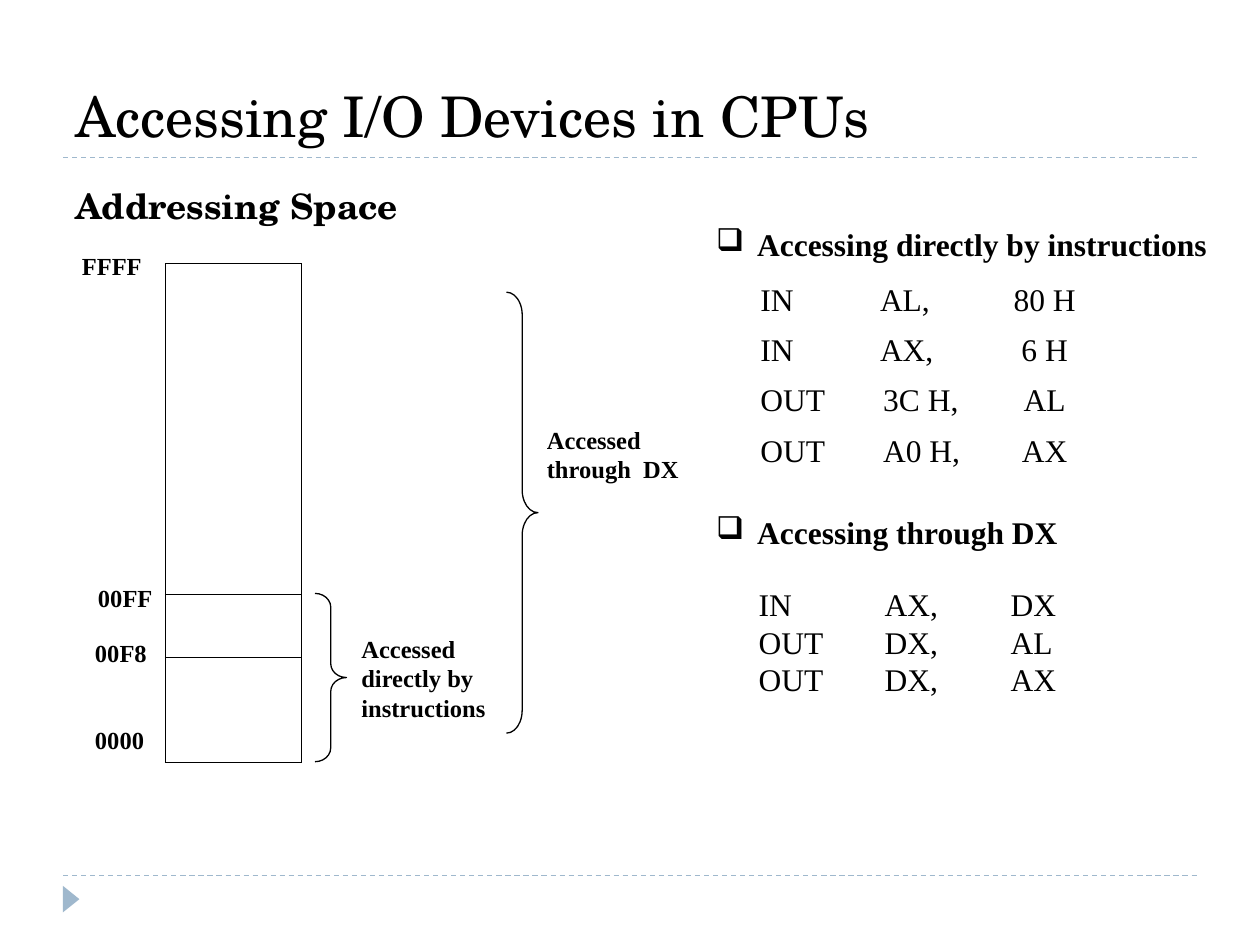
import pptx
import pptx.dml.color
import pptx.enum.dml
import pptx.enum.shapes
import pptx.enum.text
import pptx.oxml
import pptx.oxml.ns
import pptx.util
from lxml import etree

Pt = pptx.util.Pt
COLORS = {"ink": "000000", "accent": "9FB8CD"}
SERIF = "Times New Roman"
DISPLAY = "TeX Gyre Schola"
qn = pptx.oxml.ns.qn


def color(name):
    return pptx.dml.color.RGBColor.from_string(COLORS[name])


def write(paragraph, text, size, bold=False, font=SERIF):
    """Add one black run to the paragraph."""
    run = paragraph.add_run()
    run.text = text
    run.font.size = Pt(size)
    run.font.bold = bold
    run.font.name = font
    run.font.color.rgb = color("ink")


deck = pptx.Presentation()
deck.slide_width, deck.slide_height = Pt(720), Pt(540)
slide = deck.slides.add_slide(deck.slide_layouts[6])
shapes = slide.shapes

# Rules and corner marker
for y in (500.4, 90):
    rule = shapes.add_connector(
        pptx.enum.shapes.MSO_CONNECTOR.STRAIGHT, Pt(36), Pt(y), Pt(684), Pt(y))
    rule.line.color.rgb = color("accent")
    rule.line.width = Pt(0.75)
    rule.line.dash_style = pptx.enum.dml.MSO_LINE.DASH
    etree.SubElement(rule._element.spPr, qn("a:effectLst"))

outline = shapes.build_freeform(Pt(36), Pt(506.2))
outline.add_line_segments([(Pt(36), Pt(521.3)), (Pt(45.4), Pt(513.8))], close=True)
marker = outline.convert_to_shape()
marker.shadow.inherit = False
marker.fill.solid()
marker.fill.fore_color.rgb = color("accent")
marker.line.fill.background()

# Address map
segment_heights = (189.2, 36, 60)
address_map = shapes.add_table(3, 1, Pt(94.5), Pt(150.7), Pt(77.8), Pt(285.2)).table
address_map.first_row = address_map.horz_banding = False
address_map.columns[0].width = Pt(77.8)
for row, height in zip(address_map.rows, segment_heights):
    row.height = Pt(height)
    cell = row.cells[0]
    properties = cell._tc.get_or_add_tcPr()
    for side in ("lnL", "lnR", "lnT", "lnB"):
        border = etree.SubElement(properties, qn("a:" + side), w=str(Pt(0.75)))
        solid = etree.SubElement(border, qn("a:solidFill"))
        etree.SubElement(solid, qn("a:srgbClr"), val=COLORS["ink"])
    cell.fill.background()

# Braces: left, top, width, height, corner curve
for left, top, width, height, curve in (
        (180, 339.1, 18, 96.2, 0.44), (289.4, 167, 18, 252, 0.72)):
    brace = shapes.add_shape(
        pptx.enum.shapes.MSO_SHAPE.RIGHT_BRACE, Pt(left), Pt(top), Pt(width), Pt(height))
    brace.adjustments[0] = curve
    brace.shadow.inherit = False
    brace.fill.background()
    brace.line.color.rgb = color("ink")
    brace.line.width = Pt(0.75)

# Text: left, top, width, height, lines, size, bold, font, kind
TEXTS = (
    (42, 45.4, 460, 40.3, ["Accessing I/O Devices in CPUs"], 32, False, DISPLAY, ""),
    (42, 104.4, 225.4, 25.2, ["Addressing Space"], 20, True, DISPLAY, ""),
    (45.8, 142.6, 47.5, 18, ["FFFF"], 14, True, SERIF, ""),
    (55, 332, 40, 18, ["00FF"], 14, True, SERIF, ""),
    (53.3, 363.4, 40, 18, ["00F8"], 14, True, SERIF, ""),
    (53.3, 413.3, 40, 18, ["0000"], 14, True, SERIF, ""),
    (205.5, 361.2, 96.5, 51.8, ["Accessed directly by instructions"], 14, True, SERIF, ""),
    (311.5, 241.9, 80, 35.3, ["Accessed through  DX"], 14, True, SERIF, ""),
    (408.2, 127.4, 311.8, 23, ["Accessing directly by instructions"], 18, True, SERIF, "bullet"),
    (408.2, 292.3, 236.2, 23, ["Accessing through DX"], 18, True, SERIF, "bullet"),
    (432.5, 333.2, 188.6, 66.2, ["IN\tAX,\tDX", "OUT\tDX,\tAL", "OUT\tDX,\tAX"],
     18, False, SERIF, "tabs"),
)
for left, top, width, height, lines, size, bold, font, kind in TEXTS:
    frame = shapes.add_textbox(Pt(left), Pt(top), Pt(width), Pt(height)).text_frame
    frame.word_wrap = True
    frame.margin_left = frame.margin_top = Pt(1)
    frame.margin_right = frame.margin_bottom = 0
    for index, line in enumerate(lines):
        paragraph = frame.add_paragraph() if index else frame.paragraphs[0]
        write(paragraph, line, size, bold, font)
        properties = paragraph._p.get_or_add_pPr()
        if kind == "bullet":
            properties.set("marL", str(Pt(23.5)))
            properties.set("indent", str(-Pt(23.5)))
            etree.SubElement(properties, qn("a:buChar"), char="❑")
        elif kind == "tabs":
            stops = etree.SubElement(properties, qn("a:tabLst"))
            for stop in (72, 144):
                etree.SubElement(stops, qn("a:tab"), pos=str(Pt(stop)), algn="l")

# Direct I/O instructions
INSTRUCTIONS = (
    ("IN", "AL,", "80 H"),
    ("IN", "AX,", "6 H"),
    ("OUT", "3C H,", "AL"),
    ("OUT", "A0 H,", "AX"),
)
listing = shapes.add_table(4, 3, Pt(432), Pt(159.1), Pt(188.6), Pt(115.2)).table
listing.first_row = listing.horz_banding = False
for column, width in zip(listing.columns, (61.9, 78.5, 48.2)):
    column.width = Pt(width)
for row, instruction in zip(listing.rows, INSTRUCTIONS):
    row.height = Pt(28.8)
    operand_indent = 9 if instruction[0] == "IN" else 10.8
    for cell, part, indent in zip(row.cells, instruction, (2.5, operand_indent, 1)):
        cell.fill.background()
        cell.margin_left = Pt(indent)
        cell.margin_top = cell.margin_right = cell.margin_bottom = 0
        paragraph = cell.text_frame.paragraphs[0]
        paragraph.line_spacing = 1.13
        write(paragraph, part, 18)
    paragraph.alignment = pptx.enum.text.PP_ALIGN.CENTER

deck.save("out.pptx")
